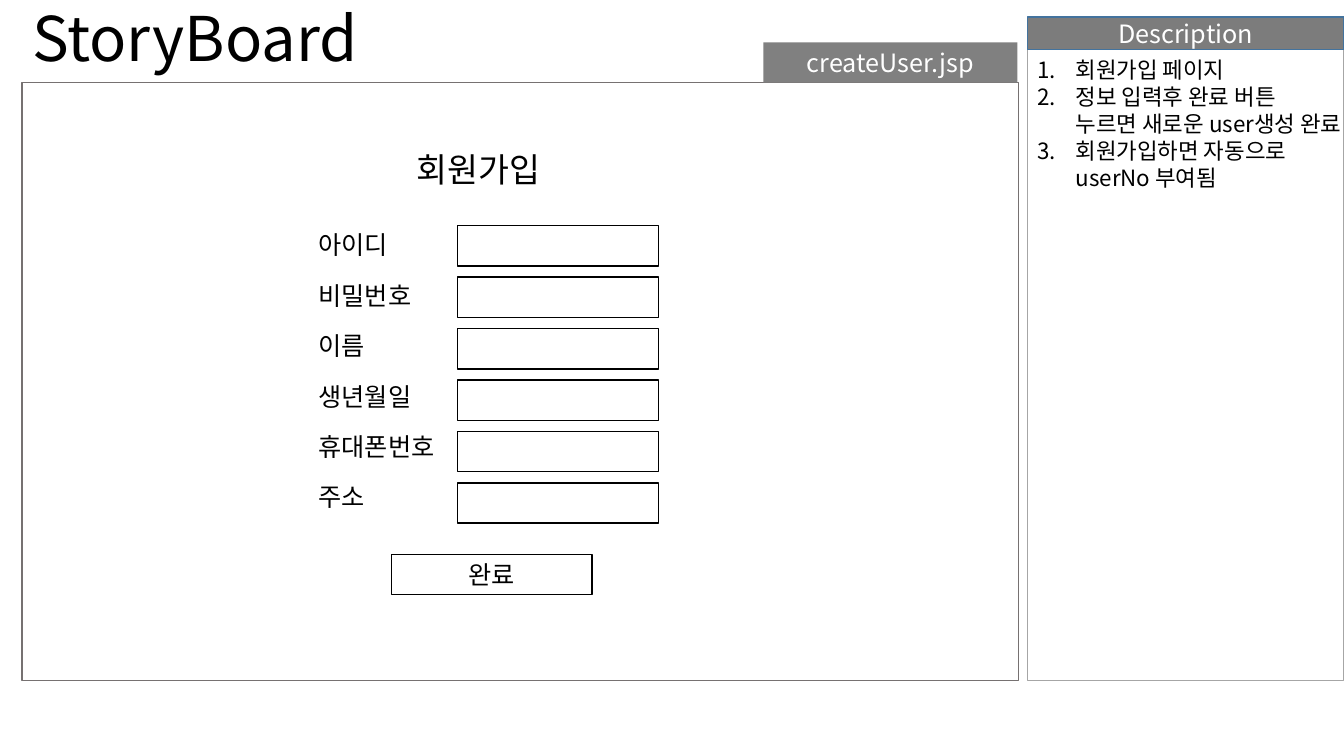
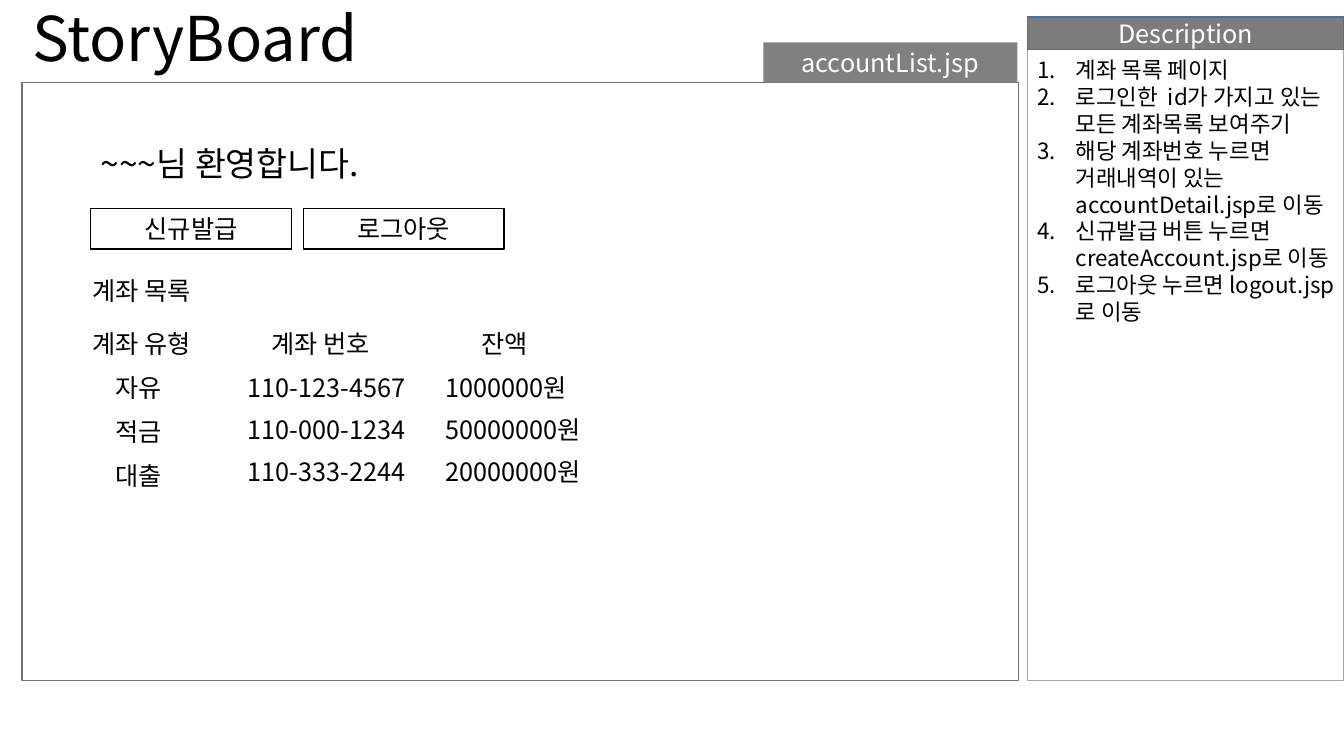
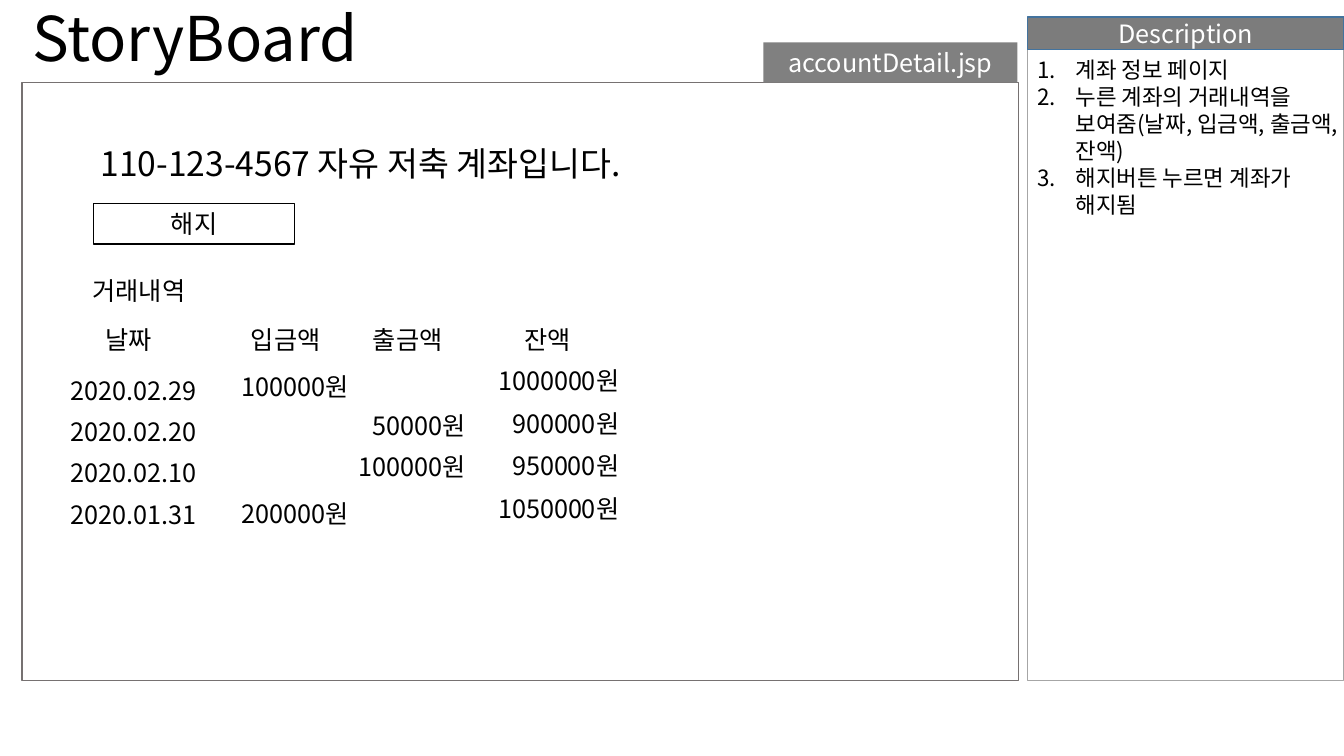
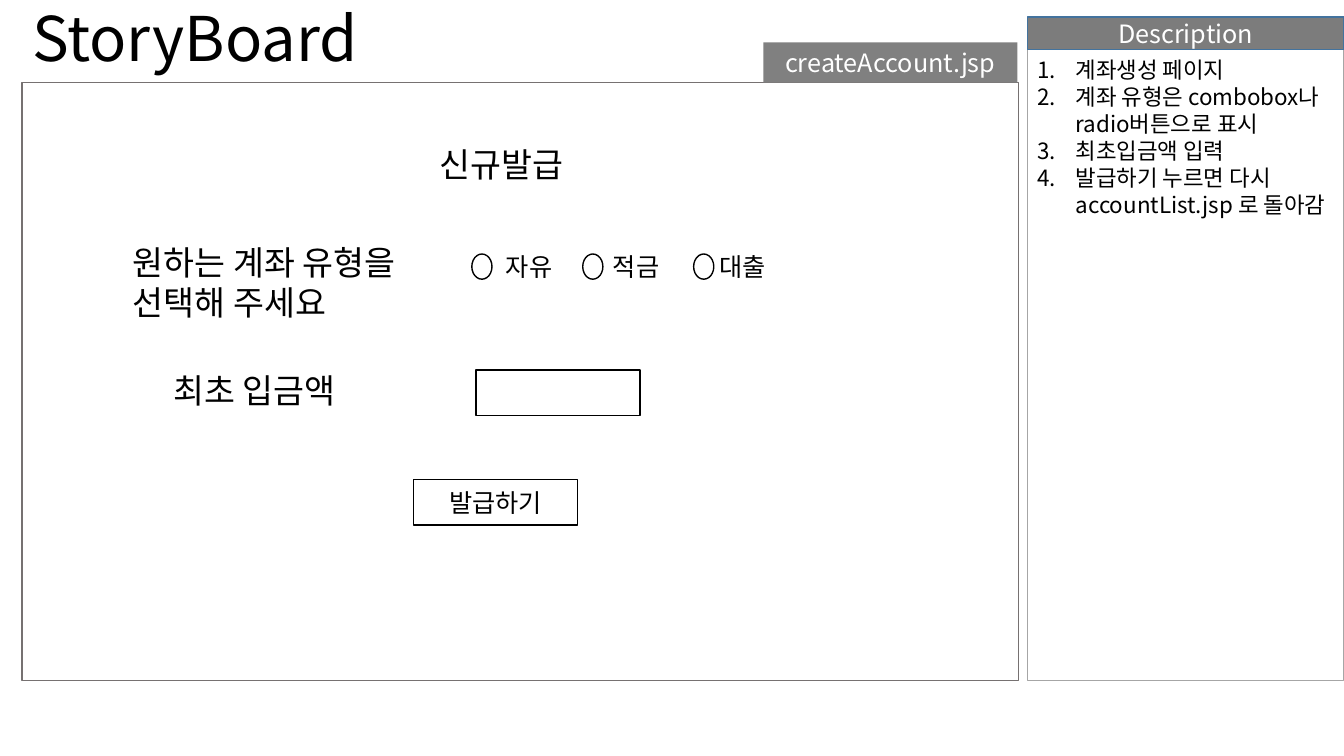
from lxml.etree import SubElement
from pptx import Presentation
from pptx.dml.color import RGBColor
from pptx.enum.shapes import MSO_SHAPE
from pptx.enum.text import MSO_ANCHOR, MSO_AUTO_SIZE, PP_ALIGN
from pptx.oxml.ns import qn
from pptx.util import Inches, Pt


class Storyboard:
    FONT = "Noto Sans CJK KR"
    COLORS = {
        "ink": "000000",
        "white": "FFFFFF",
        "header": "7C7C7C",
        "header_line": "43739E",
        "tab": "808080",
        "panel_line": "A6A6A6",
        "frame_line": "767171",
    }

    def __init__(self):
        self.deck = Presentation()
        self.deck.slide_width = Inches(13.33)
        self.deck.slide_height = Inches(7.5)
        self.slide = None

    def color(self, key):
        return RGBColor.from_string(self.COLORS[key])

    def style(self, paragraph, size, color="ink", align=None):
        font = paragraph.font
        font.size = Pt(size)
        font.name = self.FONT
        font.color.rgb = self.color(color)
        properties = paragraph._p.get_or_add_pPr()
        SubElement(properties.find(qn("a:defRPr")), qn("a:ea"), typeface=self.FONT)
        paragraph.alignment = align

    def text(self, content, left, top, width=1.48, height=0.4, size=18, align=None):
        box = self.slide.shapes.add_textbox(
            Inches(left), Inches(top), Inches(width), Inches(height))
        frame = box.text_frame
        frame.word_wrap = True
        frame.text = content
        self.style(frame.paragraphs[0], size, align=align)
        return frame

    def heading(self, content, left, top, width, height=0.5):
        self.text(content, left, top, width, height, size=24)

    def column(self, contents, left, top, pitch, width=1.48, align=None):
        for row, content in enumerate(contents):
            if content:
                self.text(content, left, top + row * pitch, width, align=align)

    def shape(self, left, top, width, height, content="", fill=None, line="ink",
              weight=1, color="ink", kind=MSO_SHAPE.RECTANGLE):
        shape = self.slide.shapes.add_shape(
            kind, Inches(left), Inches(top), Inches(width), Inches(height))
        shape.shadow.inherit = False
        if fill:
            shape.fill.solid()
            shape.fill.fore_color.rgb = self.color(fill)
        else:
            shape.fill.background()
        if line:
            shape.line.color.rgb = self.color(line)
            shape.line.width = Pt(weight)
        else:
            shape.line.fill.background()
        if content:
            frame = shape.text_frame
            frame.text = content
            frame.vertical_anchor = MSO_ANCHOR.MIDDLE
            self.style(frame.paragraphs[0], 18, color, PP_ALIGN.CENTER)

    def button(self, content, left, top, width=1.99, height=0.4):
        self.shape(left, top, width, height, content)

    def field(self, left, top, width=1.99, height=0.4):
        self.shape(left, top, width, height)

    def radio(self, content, left, top, label_left):
        self.shape(left, top, 0.2, 0.25, kind=MSO_SHAPE.OVAL)
        self.text(content, label_left, 2.44, 0.97)

    def description(self, notes):
        self.shape(10.19, 0.49, 3.14, 6.26, line="panel_line", weight=0.75)
        frame = self.text(notes[0], 10.19, 0.51, 3.22, 1.72, size=16)
        frame.auto_size = MSO_AUTO_SIZE.SHAPE_TO_FIT_TEXT
        for note in notes[1:]:
            paragraph = frame.add_paragraph()
            paragraph.text = note
            self.style(paragraph, 16)
        for paragraph in frame.paragraphs:
            properties = paragraph._p.get_or_add_pPr()
            properties.set("marL", str(Inches(0.38)))
            properties.set("indent", str(-Inches(0.38)))
            numbering = properties.makeelement(
                qn("a:buAutoNum"), {"type": "arabicPeriod"})
            properties.find(qn("a:defRPr")).addprevious(numbering)
        self.shape(10.19, 0.17, 3.14, 0.32, "Description", fill="header",
                   line="header_line", color="white")

    def page(self, file_name, notes):
        self.slide = self.deck.slides.add_slide(self.deck.slide_layouts[6])
        title = self.text("StoryBoard", 0.22, 0.01, 11.5, 0.81, size=44)
        title.vertical_anchor = MSO_ANCHOR.MIDDLE
        title.paragraphs[0].line_spacing = 0.9
        self.description(notes)
        self.shape(0.22, 0.82, 9.88, 5.93, line="frame_line")
        self.shape(7.57, 0.42, 2.52, 0.4, file_name, fill="tab", line=None,
                   color="white")


def sign_up(board):
    board.page("createUser.jsp", [
        "회원가입 페이지",
        "정보 입력후 완료 버튼 누르면 새로운 user생성 완료",
        "회원가입하면 자동으로  userNo 부여됨",
    ])
    board.heading("회원가입", 4.03, 1.43, 1.68)
    labels = ["아이디", "비밀번호", "이름", "생년월일", "휴대폰번호", "주소"]
    board.column(labels, 3.06, 2.23, 0.5)
    for row in range(len(labels)):
        board.field(4.54, 2.24 + row * 0.51)
    board.button("완료", 3.88, 5.5)


def account_list(board):
    board.page("accountList.jsp", [
        "계좌 목록 페이지",
        "로그인한  id가 가지고 있는 모든 계좌목록 보여주기",
        "해당 계좌번호 누르면 거래내역이 있는 accountDetail.jsp로 이동",
        "신규발급 버튼 누르면 createAccount.jsp로 이동",
        "로그아웃 누르면 logout.jsp로 이동",
    ])
    board.heading("~~~님 환영합니다.", 0.9, 1.37, 3.25)
    board.button("신규발급", 0.9, 2.07)
    board.button("로그아웃", 3.01, 2.07)
    board.text("계좌 목록", 0.82, 2.68)
    for header, left in [("계좌 유형", 0.82), ("계좌 번호", 2.59), ("잔액", 4.68)]:
        board.text(header, left, 3.21)
    board.column(["자유", "적금", "대출"], 1.05, 3.64, 0.44, 0.73)
    board.column(["110-123-4567", "110-000-1234", "110-333-2244"],
                 2.36, 3.64, 0.42, 1.95)
    board.column(["1000000원", "50000000원", "20000000원"], 4.32, 3.64, 0.42, 1.67)


def account_detail(board):
    board.page("accountDetail.jsp", [
        "계좌 정보 페이지",
        "누른 계좌의 거래내역을 보여줌(날짜, 입금액, 출금액, 잔액)",
        "해지버튼 누르면 계좌가 해지됨",
    ])
    board.heading("110-123-4567 자유 저축 계좌입니다.", 0.9, 1.37, 6.16)
    board.button("해지", 0.93, 2.02)
    board.text("거래내역", 0.82, 2.68)
    headers = [("날짜", 0.95), ("입금액", 2.39), ("출금액", 3.6), ("잔액", 5.1)]
    for header, left in headers:
        board.text(header, left, 3.17, 1.03)
    board.column(["2020.02.29", "2020.02.20", "2020.02.10", "2020.01.31"],
                 0.6, 3.67, 0.41, 1.84)
    board.column(["100000원", None, None, "200000원"], 2.3, 3.63, 0.42, 1.95)
    board.column([None, "50000원", "100000원"], 3.12, 3.61, 0.41, 1.6,
                 PP_ALIGN.RIGHT)
    board.column(["1000000원", "900000원", "950000원", "1050000원"],
                 4.54, 3.58, 0.42, 1.7, PP_ALIGN.RIGHT)


def new_account(board):
    board.page("createAccount.jsp", [
        "계좌생성 페이지",
        "계좌 유형은 combobox나 radio버튼으로 표시",
        "최초입금액 입력",
        "발급하기 누르면 다시 accountList.jsp 로 돌아감",
    ])
    board.heading("신규발급", 4.26, 1.38, 1.8)
    board.heading("원하는 계좌 유형을 선택해 주세요", 1.22, 2.35, 3.5, 0.91)
    for index, account_type in enumerate(["자유", "적금", "대출"]):
        board.radio(account_type, 4.68 + index * 1.1, 2.52, 4.92 + index * 1.06)
    board.heading("최초 입금액", 1.62, 3.62, 2.36)
    board.field(4.72, 3.67, 1.63, 0.45)
    board.button("발급하기", 4.1, 4.76, 1.63, 0.45)


def main():
    board = Storyboard()
    for build in (sign_up, account_list, account_detail, new_account):
        build(board)
    board.deck.save("out.pptx")


if __name__ == "__main__":
    main()
